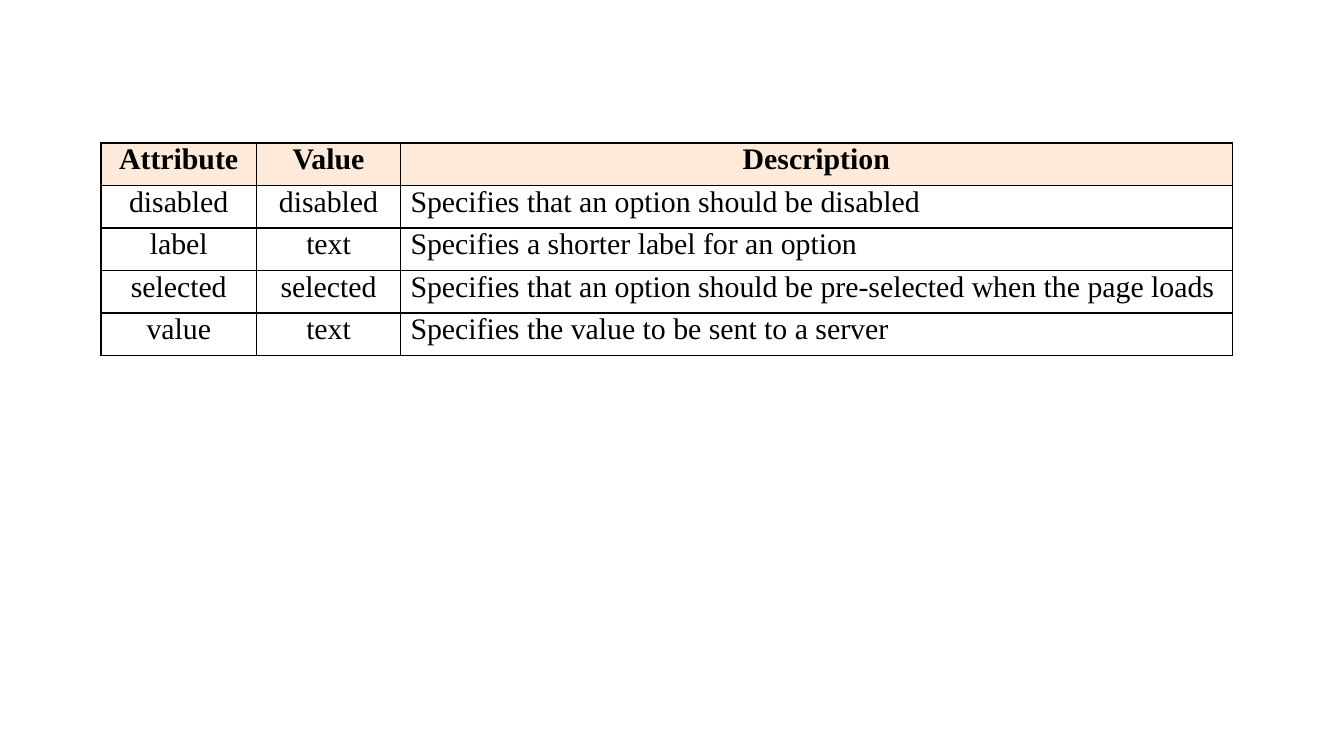
from lxml.etree import SubElement
from pptx import Presentation
from pptx.dml.color import RGBColor
from pptx.enum.text import MSO_ANCHOR, PP_ALIGN
from pptx.oxml.ns import qn
from pptx.util import Pt

COLORS = {"text": "000000", "border": "000000", "header": "FDEADA"}
FONT = "Times New Roman"
COLUMN_SHARES = (1.16, 1.07, 6.19)
ROWS = (
    ("Attribute", "Value", "Description"),
    ("disabled", "disabled", "Specifies that an option should be disabled"),
    ("label", "text", "Specifies a shorter label for an option"),
    ("selected", "selected", "Specifies that an option should be pre-selected when the page loads"),
    ("value", "text", "Specifies the value to be sent to a server"),
)


def set_borders(cell):
    tc_pr = cell._tc.get_or_add_tcPr()
    for side in ("a:lnL", "a:lnR", "a:lnT", "a:lnB"):
        ln = SubElement(tc_pr, qn(side), w=str(Pt(1)))
        fill = SubElement(ln, qn("a:solidFill"))
        SubElement(fill, qn("a:srgbClr"), val=COLORS["border"])


def format_cell(cell, text, is_header, centered):
    set_borders(cell)
    if is_header:
        cell.fill.solid()
        cell.fill.fore_color.rgb = RGBColor.from_string(COLORS["header"])
    else:
        cell.fill.background()
    cell.margin_left = cell.margin_right = Pt(5.4)
    cell.margin_top = cell.margin_bottom = 0
    cell.vertical_anchor = MSO_ANCHOR.TOP
    p = cell.text_frame.paragraphs[0]
    p.text = text
    p.alignment = PP_ALIGN.CENTER if centered else PP_ALIGN.LEFT
    p.font.name = FONT
    p.font.size = Pt(16)
    p.font.bold = is_header
    p.font.color.rgb = RGBColor.from_string(COLORS["text"])


def add_attribute_table(s, left, top, width, height):
    table = s.shapes.add_table(
        len(ROWS), len(COLUMN_SHARES), Pt(left), Pt(top), Pt(width), Pt(height)
    ).table
    table.horz_banding = False
    for column, share in zip(table.columns, COLUMN_SHARES):
        column.width = Pt(width * share / sum(COLUMN_SHARES))
    for i, values in enumerate(ROWS):
        table.rows[i].height = Pt(height / len(ROWS))
        for j, text in enumerate(values):
            is_header = i == 0
            format_cell(table.cell(i, j), text, is_header, is_header or j < 2)


def main():
    prs = Presentation()
    prs.slide_width, prs.slide_height = Pt(720), Pt(405)
    s = prs.slides.add_slide(prs.slide_layouts[6])
    add_attribute_table(s, 54, 76.5, 606.24, 114)
    prs.save("out.pptx")


if __name__ == "__main__":
    main()
